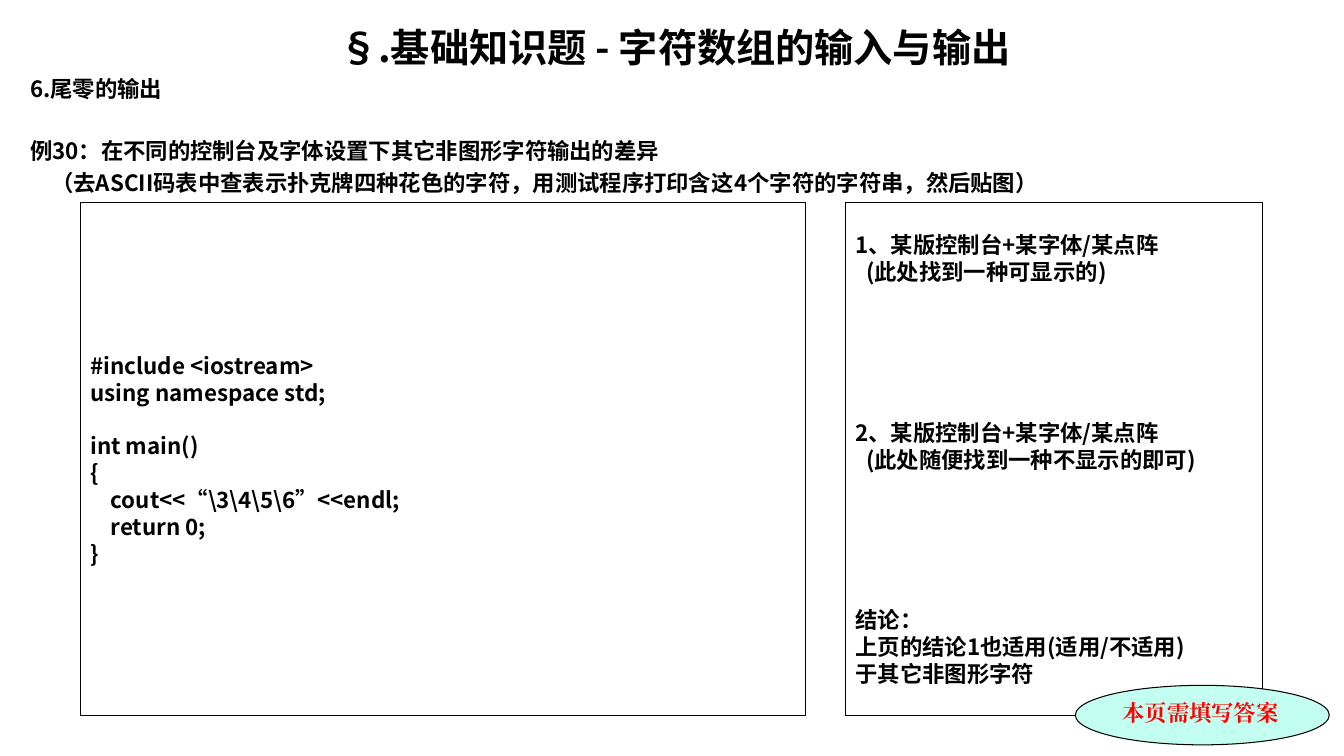
from pptx import Presentation
from pptx.dml.color import RGBColor
from pptx.enum.shapes import MSO_SHAPE
from pptx.enum.text import MSO_ANCHOR, PP_ALIGN
from pptx.oxml.ns import qn
from pptx.util import Cm, Pt
from lxml.etree import SubElement
from dataclasses import dataclass


@dataclass(frozen=True)
class Theme:
    sans: str = "Noto Sans CJK SC"
    serif: str = "Times New Roman"
    ink: str = "000000"
    red: str = "FF0000"
    mint: str = "C2FFF0"
    big: int = 28
    body: int = 16
    edge: float = 0.75
    line: float = 19.1  # height of one body line, in points


T = Theme()

# Content: (text, lines of gap above, indent in cm)
TITLE = "§.基础知识题 - 字符数组的输入与输出"
INTRO = [
    ("6.尾零的输出", 0, 0),
    ("例30：在不同的控制台及字体设置下其它非图形字符输出的差异", 1, 0),
    ("（去ASCII码表中查表示扑克牌四种花色的字符，用测试程序打印含这4个字符的字符串，然后贴图）", 0, 0.53),
]
CODE = [
    ("#include <iostream>", 0, 0),
    ("using namespace std;", 0, 0),
    ("int main()", 1, 0),
    ("{", 0, 0),
    ("    cout<<“\\3\\4\\5\\6”<<endl;", 0, 0),
    ("    return 0;", 0, 0),
    ("}", 0, 0),
]
NOTES = [
    ("1、某版控制台+某字体/某点阵", 0, 0),
    ("(此处找到一种可显示的)", 0, 0.27),
    ("2、某版控制台+某字体/某点阵", 5, 0),
    ("(此处随便找到一种不显示的即可)", 0, 0.27),
    ("结论：", 5, 0),
    ("上页的结论1也适用(适用/不适用)", 0, 0),
    ("于其它非图形字符", 0, 0),
]
BADGE = [("本页需填写答案", 0, 0)]

# Places: left, top, width, height in cm
HEAD = (0.51, 0.46, 32.99, 18.01)
TOP, TALL = 5.11, 12.93
PANES = [(2.03, 18.26, CODE), (21.31, 10.52, NOTES)]
OVAL = (27.1, 17.27, 6.4, 1.5)


def write(para, text, size=T.body, font=T.sans, color=T.ink):
    run = para.add_run()
    run.text = text
    run.font.size = Pt(size)
    run.font.bold = True
    run.font.name = font
    run.font.color.rgb = RGBColor.from_string(color)
    SubElement(run.font._element, qn("a:ea")).set("typeface", font)


def fill(frame, rows, **look):
    for i, (text, gap, indent) in enumerate(rows):
        para = frame.paragraphs[0] if i == 0 else frame.add_paragraph()
        para.alignment = PP_ALIGN.LEFT
        if gap:
            para.space_before = Pt(gap * T.line)
        if indent:
            para._p.get_or_add_pPr().set("marL", str(Cm(indent)))
        write(para, text, **look)


def block(kind, place, anchor, wrap):
    shape = slide.shapes.add_shape(kind, *map(Cm, place))
    shape.shadow.inherit = False
    shape.fill.background()
    shape.line.color.rgb = RGBColor.from_string(T.ink)
    shape.line.width = Pt(T.edge)
    shape.text_frame.vertical_anchor = anchor
    shape.text_frame.word_wrap = wrap
    return shape


deck = Presentation()
deck.slide_width, deck.slide_height = Cm(33.87), Cm(19.05)
slide = deck.slides.add_slide(deck.slide_layouts[6])

# Title and task
frame = slide.shapes.add_textbox(*map(Cm, HEAD)).text_frame
frame.word_wrap = True
para = frame.paragraphs[0]
para.alignment = PP_ALIGN.CENTER
write(para, TITLE, T.big)
lead = T.body * 0.2
for text, gap, indent in INTRO:
    para = frame.add_paragraph()
    para.alignment = PP_ALIGN.JUSTIFY
    para.space_before = Pt(lead + gap * (T.line + lead))
    if indent:
        para._p.get_or_add_pPr().set("marL", str(Cm(indent)))
    write(para, text)

# Code and answer panes
for left, wide, rows in PANES:
    pane = block(MSO_SHAPE.RECTANGLE, (left, TOP, wide, TALL), MSO_ANCHOR.MIDDLE, False)
    fill(pane.text_frame, rows)

# Badge
badge = block(MSO_SHAPE.OVAL, OVAL, MSO_ANCHOR.TOP, True)
badge.fill.solid()
badge.fill.fore_color.rgb = RGBColor.from_string(T.mint)
fill(badge.text_frame, BADGE, font=T.serif, color=T.red)

deck.save("out.pptx")
